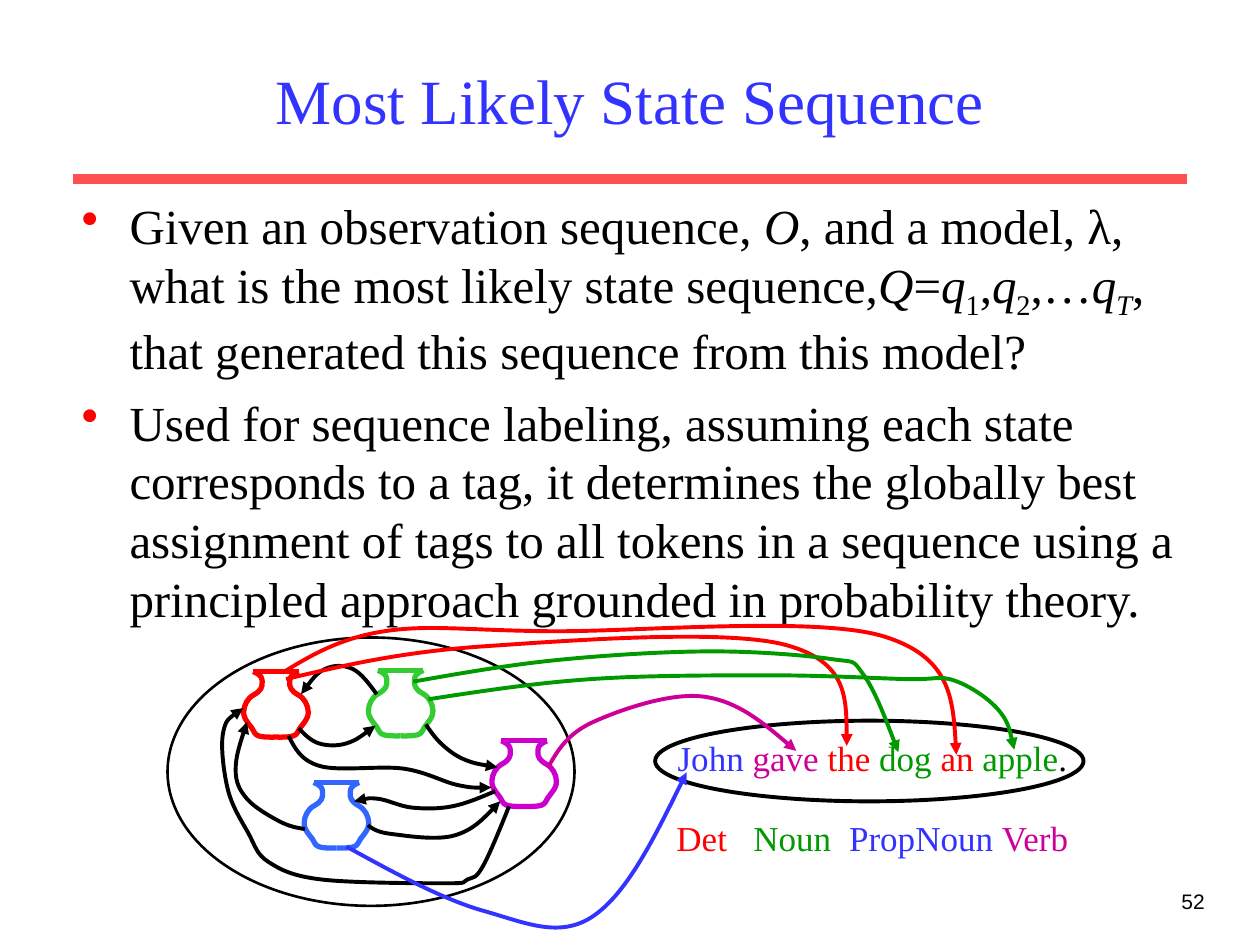
from lxml.etree import SubElement
from pptx import Presentation
from pptx.dml.color import RGBColor
from pptx.enum.shapes import MSO_CONNECTOR as Connector, MSO_SHAPE as Shape
from pptx.enum.text import MSO_ANCHOR as Anchor, PP_ALIGN as Align
from pptx.oxml.ns import qn
from pptx.util import Inches, Pt

SERIF, SANS = "Times New Roman", "Arial"
BLACK, RED, GREEN, BLUE, MAGENTA = "000000", "FF0000", "009900", "3333FF", "CC0099"

# Left half of an urn, measured from the middle of its rim
URN_HALF = [(-0.18, 0), (-0.12, 0.04), (-0.11, 0.11), (-0.14, 0.16), (-0.21, 0.21),
            (-0.25, 0.28), (-0.25, 0.36), (-0.19, 0.45), (-0.14, 0.51), (0, 0.52)]
URNS = [(2.67, 6.21, "3366FF"), (3.18, 5.32, "33CC33"),
        (2.19, 5.33, RED), (4.16, 5.88, "CC00CC")]

# Knots of the arrows between states
TRANSITIONS = [
    [(2.37, 5.78), (2.53, 5.9), (2.75, 5.9), (2.98, 5.76)],
    [(3.38, 5.75), (3.51, 5.91), (3.69, 6.03), (3.95, 6.09)],
    [(2.99, 5.51), (2.8, 5.31), (2.58, 5.31), (2.39, 5.51)],
    [(2.29, 5.84), (2.54, 6.08), (3.2, 6.1), (3.63, 6.23), (3.9, 6.25)],
    [(2.92, 6.55), (3.11, 6.62), (3.61, 6.63), (3.97, 6.36)],
    [(2.42, 6.58), (2.22, 6.52), (1.96, 6.34), (1.87, 6.11), (1.96, 5.73)],
    [(4.04, 6.4), (3.83, 6.88), (3.71, 6.98), (3.54, 7.01), (2.55, 6.98),
     (2.13, 6.84), (1.97, 6.61), (1.81, 6.27), (1.77, 5.82), (1.93, 5.62)],
    [(3.93, 6.28), (3.59, 6.4), (3.27, 6.41), (3, 6.34), (2.81, 6.36)],
]
# Knots of the arrows from states to words
EMISSIONS = [
    (RED, [(2.24, 5.34), (3.05, 5.01), (4.37, 5.01), (7.01, 5.05), (7.59, 5.99)]),
    (RED, [(2.27, 5.39), (3.84, 5.13), (6.24, 5.12), (6.72, 5.92)]),
    (BLUE, [(2.75, 6.72), (3.84, 7.23), (4.71, 7.27), (5.45, 6.13)]),
    (MAGENTA, [(4.35, 6.09), (4.71, 5.73), (5.59, 5.53), (6.32, 5.96)]),
    (GREEN, [(3.28, 5.41), (4.41, 5.24), (5.63, 5.17), (6.59, 5.23),
             (6.85, 5.35), (7.13, 5.97)]),
    (GREEN, [(3.4, 5.55), (4.69, 5.39), (6.13, 5.36), (7.19, 5.39),
             (7.57, 5.4), (7.92, 5.63), (8.05, 5.95)]),
]

QUESTION = [
    ("Given an observation sequence, ", ""), ("O", "i"),
    (", and a model, λ, what is the most likely state sequence,", ""),
    ("Q", "i"), ("=", ""), ("q", "i"), ("1", "s"), (",", ""), ("q", "i"),
    ("2", "s"), (",…", ""), ("q", "i"), ("T", "is"),
    (", that generated this sequence from this model?", ""),
]
USE = [("Used for sequence labeling, assuming each state corresponds to a tag, "
        "it determines the globally best assignment of tags to all tokens in a "
        "sequence using a principled approach grounded in probability theory.", "")]
SENTENCE = [("John ", BLUE), ("gave ", MAGENTA), ("the ", RED), ("dog ", GREEN),
            ("an ", RED), ("apple", GREEN), (".", BLACK)]
TAGS = [("Det\t", RED), ("Noun\t", GREEN), ("PropNoun ", BLUE), ("Verb", MAGENTA)]


def rgb(value):
    return RGBColor.from_string(value)


def set_line(item, color, width):
    item.line.color.rgb = rgb(color)
    item.line.width = Pt(width)


def add_box(page, left, top, width, height, anchor=Anchor.TOP):
    box = page.shapes.add_textbox(Inches(left), Inches(top), Inches(width), Inches(height))
    frame = box.text_frame
    frame.word_wrap = True
    frame.vertical_anchor = anchor
    return frame


def add_span(para, text, size, color=BLACK, font=SERIF, style=""):
    span = para.add_run()
    span.text = text
    span.font.size, span.font.name = Pt(size), font
    span.font.color.rgb = rgb(color)
    if "i" in style:
        span.font.italic = True
    if "s" in style:
        span.font._element.set("baseline", "-25000")


def add_bullet(para):
    props = para._p.get_or_add_pPr()
    props.set("marL", str(Inches(0.38)))
    props.set("indent", str(-Inches(0.38)))
    SubElement(SubElement(props, qn("a:buClr")), qn("a:srgbClr"), val=RED)
    SubElement(props, qn("a:buChar"), char="•")


def add_tabs(para, stops):
    tabs = SubElement(para._p.get_or_add_pPr(), qn("a:tabLst"))
    for stop in stops:
        SubElement(tabs, qn("a:tab"), pos=str(Inches(stop)), algn="l")


def add_straight(page, start, end, color, width):
    line = page.shapes.add_connector(Connector.STRAIGHT, *map(Inches, start + end))
    set_line(line, color, width)
    SubElement(line._element.spPr, qn("a:effectLst"))


def add_ellipse(page, left, top, width, height, weight):
    oval = page.shapes.add_shape(Shape.OVAL, Inches(left), Inches(top),
                                 Inches(width), Inches(height))
    oval.shadow.inherit = False
    oval.fill.background()
    set_line(oval, BLACK, weight)


def smooth_path(shape):
    """Turn the straight segments into a spline through the same knots."""
    outline = shape._element.find(".//" + qn("a:path"))
    knots = [(int(pt.get("x")), int(pt.get("y"))) for pt in outline.iter(qn("a:pt"))]
    for segment in outline.findall(qn("a:lnTo")):
        outline.remove(segment)
    for i in range(len(knots) - 1):
        before, start = knots[max(i - 1, 0)], knots[i]
        end, after = knots[i + 1], knots[min(i + 2, len(knots) - 1)]
        lead = [s + (e - b) / 6 for b, s, e in zip(before, start, end)]
        trail = [e - (a - s) / 6 for s, e, a in zip(start, end, after)]
        if i == 0:
            lead = [(s + t) / 2 for s, t in zip(start, trail)]
        if i == len(knots) - 2:
            trail = [(e + t) / 2 for e, t in zip(end, lead)]
        curve = SubElement(outline, qn("a:cubicBezTo"))
        for x, y in (lead, trail, end):
            SubElement(curve, qn("a:pt"), x=str(round(x)), y=str(round(y)))


def add_curve(page, knots, color, width, arrow=False):
    points = [(Inches(x), Inches(y)) for x, y in knots]
    builder = page.shapes.build_freeform(*points[0])
    builder.add_line_segments(points[1:], close=False)
    curve = builder.convert_to_shape()
    smooth_path(curve)
    curve.shadow.inherit = False
    curve.fill.background()
    set_line(curve, color, width)
    if arrow:
        SubElement(curve.line._get_or_add_ln(), qn("a:tailEnd"), type="triangle")


def add_urn(page, x, y, color):
    for side in (1, -1):
        add_curve(page, [(x + side * dx, y + dy) for dx, dy in URN_HALF], color, 3)
    add_straight(page, (x - 0.18, y), (x + 0.18, y), color, 3)


def add_colored_line(page, left, top, width, spans, stops=()):
    para = add_box(page, left, top, width, 0.44).paragraphs[0]
    if stops:
        add_tabs(para, stops)
    for text, color in spans:
        add_span(para, text, 20, color)


def add_body(page):
    frame = add_box(page, 0.55, 1.5, 9.03, 3.58)
    for i, spans in enumerate((QUESTION, USE)):
        para = frame.add_paragraph() if i else frame.paragraphs[0]
        add_bullet(para)
        if i:
            para.space_before = Pt(7)
        for text, style in spans:
            add_span(para, text, 28, style=style)


def main():
    deck = Presentation()
    deck.slide_width, deck.slide_height = Inches(10), Inches(7.5)
    page = deck.slides.add_slide(deck.slide_layouts[6])

    # Rule, page number, title and body
    add_straight(page, (0.58, 1.42), (9.42, 1.42), "FF5050", 6)
    number = add_box(page, 7.58, 7, 2.08, 0.5).paragraphs[0]
    number.alignment = Align.RIGHT
    add_span(number, "52", 12, font=SANS)
    title = add_box(page, 0.75, 0.25, 8.5, 1.08, Anchor.MIDDLE).paragraphs[0]
    title.alignment = Align.CENTER
    add_span(title, "Most Likely State Sequence", 36, BLUE)
    add_body(page)

    # State model
    for urn in URNS:
        add_urn(page, *urn)
    for knots in TRANSITIONS:
        add_curve(page, knots, BLACK, 2.25, arrow=True)
    add_ellipse(page, 1.33, 5.06, 3.23, 2.13, 1.5)

    # Sentence and its tags
    add_colored_line(page, 5.28, 5.8, 3.36, SENTENCE)
    add_ellipse(page, 5.2, 5.72, 3.4, 0.64, 2.25)
    add_colored_line(page, 5.27, 6.43, 3.41, TAGS, stops=(0.61, 1.37))
    for color, knots in EMISSIONS:
        add_curve(page, knots, color, 2.25, arrow=True)

    deck.save("out.pptx")


if __name__ == "__main__":
    main()
